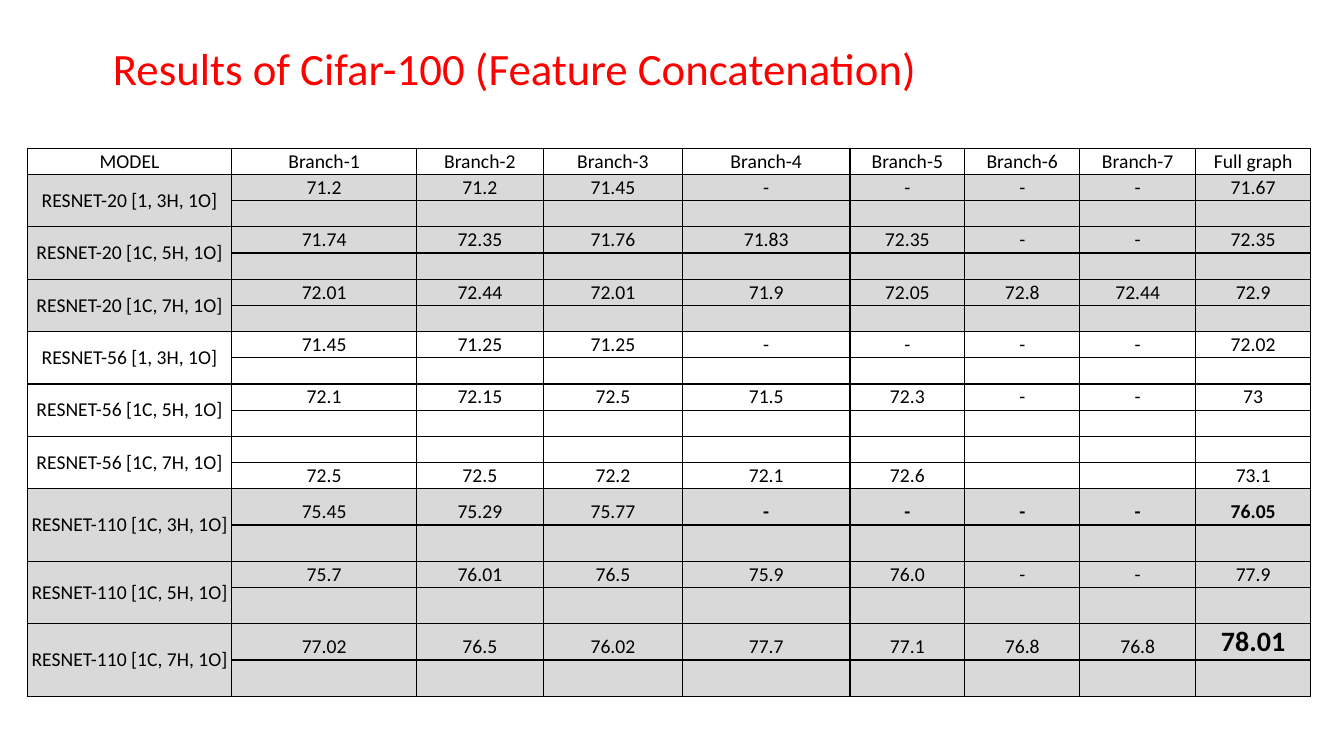
from lxml import etree
from pptx import Presentation
from pptx.dml.color import RGBColor
from pptx.enum import text
from pptx.oxml import ns
from pptx.util import Inches, Pt

BLACK = RGBColor(0x00, 0x00, 0x00)
WHITE = RGBColor(0xFF, 0xFF, 0xFF)
GREY = RGBColor(0xD9, 0xD9, 0xD9)
RED = RGBColor(0xFF, 0x00, 0x00)
FONT = "Calibri"

HEADINGS = ["MODEL", *(f"Branch-{number}" for number in range(1, 8)), "Full graph"]
COLUMN_WIDTHS = [2.03, 1.83, 1.26, 1.38, 1.66, 1.14, 1.14, 1.15, 1.14]
ROW_HEIGHT = 0.26
TALL_ROW_HEIGHT = 0.36
TALL_ROWS = {13, 14, 16, 17, 18}
LOWER_RESULT_MODEL = "RESNET-56 [1C, 7H, 1O]"
RESULTS = [
    ("RESNET-20 [1, 3H, 1O]", GREY, "71.2 71.2 71.45 - - - - 71.67"),
    ("RESNET-20 [1C, 5H, 1O]", GREY, "71.74 72.35 71.76 71.83 72.35 - - 72.35"),
    ("RESNET-20 [1C, 7H, 1O]", GREY, "72.01 72.44 72.01 71.9 72.05 72.8 72.44 72.9"),
    ("RESNET-56 [1, 3H, 1O]", WHITE, "71.45 71.25 71.25 - - - - 72.02"),
    ("RESNET-56 [1C, 5H, 1O]", WHITE, "72.1 72.15 72.5 71.5 72.3 - - 73"),
    (LOWER_RESULT_MODEL, WHITE, "72.5 72.5 72.2 72.1 72.6 _ _ 73.1"),
    ("RESNET-110 [1C, 3H, 1O]", GREY, "75.45 75.29 75.77 - - - - 76.05"),
    ("RESNET-110 [1C, 5H, 1O]", GREY, "75.7 76.01 76.5 75.9 76.0 - - 77.9"),
    ("RESNET-110 [1C, 7H, 1O]", GREY, "77.02 76.5 76.02 77.7 77.1 76.8 76.8 78.01"),
]
BOLD_CELLS = {(13, column) for column in range(4, 9)} | {(17, 8)}
BEST_CELL = (17, 8)


def set_attributes(target, values):
    for name, value in values.items():
        setattr(target, name, value)


def format_font(font, size, color, bold=False):
    set_attributes(font, {"name": FONT, "size": Pt(size), "bold": bold})
    font.color.rgb = color


def add_title(slide, wording):
    title = slide.shapes.title
    set_attributes(title, {"left": Inches(1.02), "top": Inches(0.35),
                           "width": Inches(9.73), "height": Inches(0.64)})
    frame = title.text_frame
    set_attributes(frame, {"text": wording, "word_wrap": True,
                           "auto_size": text.MSO_AUTO_SIZE.NONE,
                           "vertical_anchor": text.MSO_ANCHOR.MIDDLE})
    paragraph = frame.paragraphs[0]
    paragraph.alignment = text.PP_ALIGN.LEFT
    format_font(paragraph.runs[0].font, 32, RED)


def add_borders(cell):
    properties = cell._tc.get_or_add_tcPr()
    for side in ("lnL", "lnR", "lnT", "lnB"):
        line = etree.SubElement(properties, ns.qn(f"a:{side}"), w=str(Pt(1)))
        fill = etree.SubElement(line, ns.qn("a:solidFill"))
        etree.SubElement(fill, ns.qn("a:srgbClr"), val=str(BLACK))


def format_cell(cell, color):
    add_borders(cell)
    cell.fill.solid()
    cell.fill.fore_color.rgb = color
    margins = ("margin_left", "margin_right", "margin_top", "margin_bottom")
    set_attributes(cell, dict.fromkeys(margins, Inches(0.01)))


def write_cell(cell, wording, anchor, size=14, bold=False):
    cell.vertical_anchor = anchor
    paragraph = cell.text_frame.paragraphs[0]
    paragraph.alignment = text.PP_ALIGN.CENTER
    if wording:
        run = paragraph.add_run()
        run.text = wording
        format_font(run.font, size, BLACK, bold)
    else:
        etree.SubElement(paragraph._p, ns.qn("a:endParaRPr"), sz=str(size * 100))


def table_rows():
    yield HEADINGS, WHITE
    blanks = [""] * (len(HEADINGS) - 1)
    for model, color, scores in RESULTS:
        values = ["" if score == "_" else score for score in scores.split()]
        upper, lower = values, blanks
        if model == LOWER_RESULT_MODEL:
            upper, lower = blanks, values
        yield [model, *upper], color
        yield ["", *lower], color


def add_results_table(slide):
    rows = list(table_rows())
    frame = slide.shapes.add_table(len(rows), len(HEADINGS), Inches(0.27), Inches(1.47),
                                   Inches(12.73), Inches(5.41))
    table = frame.table
    set_attributes(table, {"first_row": False, "horz_banding": False})
    for column, width in zip(table.columns, COLUMN_WIDTHS):
        column.width = Inches(width)
    for row_index, (wordings, color) in enumerate(rows):
        height = TALL_ROW_HEIGHT if row_index in TALL_ROWS else ROW_HEIGHT
        table.rows[row_index].height = Inches(height)
        for column_index, wording in enumerate(wordings):
            cell = table.cell(row_index, column_index)
            position = (row_index, column_index)
            is_model = row_index > 0 and column_index == 0
            anchor = text.MSO_ANCHOR.MIDDLE if is_model else text.MSO_ANCHOR.BOTTOM
            format_cell(cell, color)
            write_cell(cell, wording, anchor, 20 if position == BEST_CELL else 14,
                       position in BOLD_CELLS)
    for row_index in range(1, len(rows), 2):
        table.cell(row_index, 0).merge(table.cell(row_index + 1, 0))


def main():
    presentation = Presentation()
    set_attributes(presentation, {"slide_width": Inches(13.33), "slide_height": Inches(7.5)})
    slide = presentation.slides.add_slide(presentation.slide_layouts[5])
    add_results_table(slide)
    add_title(slide, "Results of Cifar-100 (Feature Concatenation)")
    presentation.save("out.pptx")


if __name__ == "__main__":
    main()
